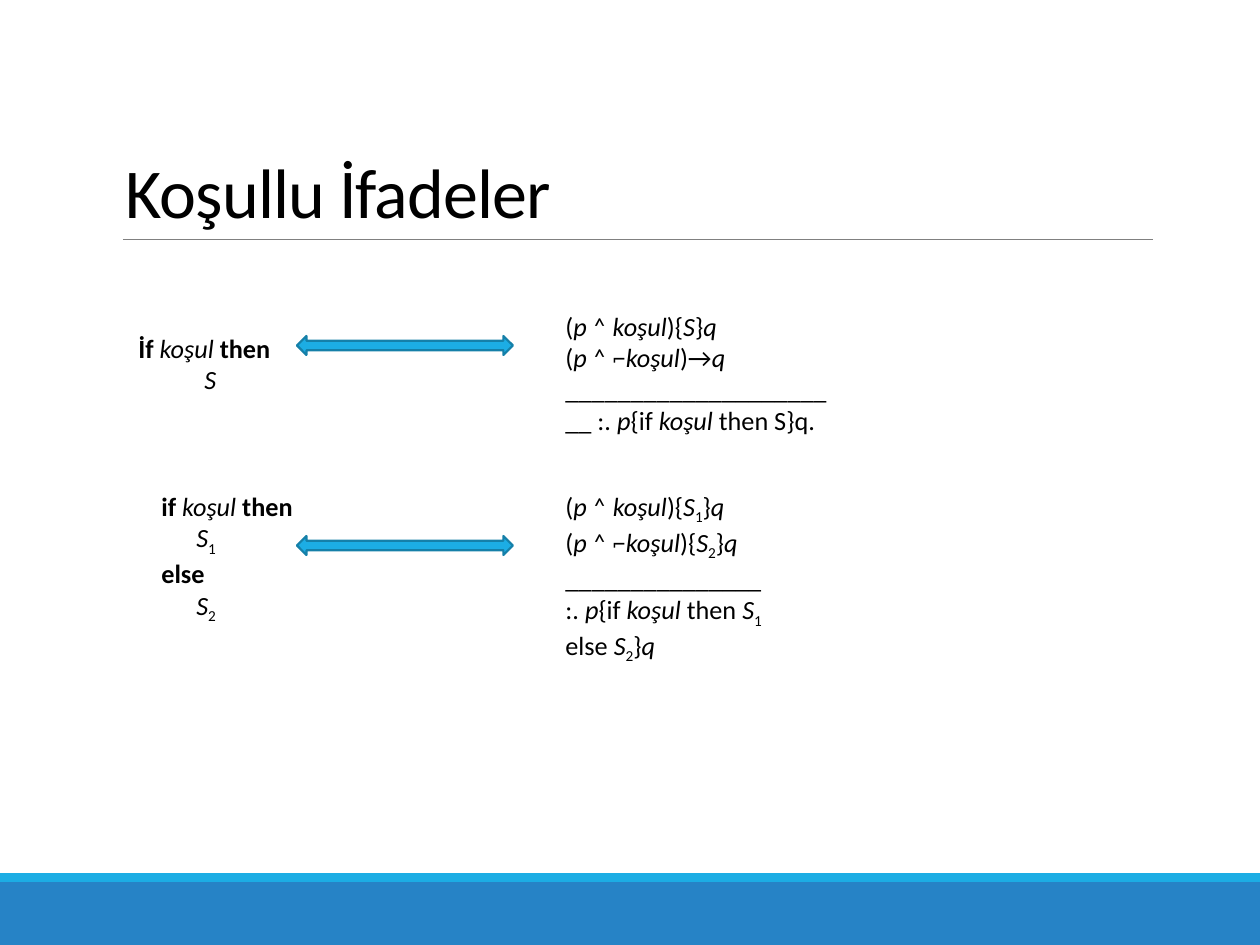
from pptx import Presentation
from pptx.dml.color import RGBColor
from pptx.enum.shapes import MSO_CONNECTOR, MSO_SHAPE
from pptx.enum.text import MSO_ANCHOR, MSO_AUTO_SIZE, PP_ALIGN
from pptx.oxml.ns import qn
from pptx.util import Pt
from lxml import etree

RECT, ARROW = MSO_SHAPE.RECTANGLE, MSO_SHAPE.LEFT_RIGHT_ARROW
STRAIGHT = MSO_CONNECTOR.STRAIGHT
LEFT, BOTTOM = PP_ALIGN.LEFT, MSO_ANCHOR.BOTTOM
NO_FIT = MSO_AUTO_SIZE.NONE

BLACK = RGBColor(0, 0, 0)
GREY = RGBColor(0x80, 0x80, 0x80)
BLUE = RGBColor(0x26, 0x83, 0xC6)
CYAN = RGBColor(0x1C, 0xAD, 0xE4)
TEAL = RGBColor(0x15, 0x80, 0xA9)
FONT = "Calibri"

# Content: each run is (text, style); style letters are b bold, i italic, s subscript
TITLE = "Koşullu İfadeler"
P_AND_COND = [("(", ""), ("p", "i"), (" ˄ ", ""), ("koşul", "i")]
P_AND_NOT_COND = [("(", ""), ("p", "i"), (" ˄ ⌐", ""), ("koşul", "i")]
P_IF_COND = [("p", "i"), ("{if ", ""), ("koşul ", "i")]
COND_THEN = [("koşul ", "i"), ("then", "b")]


def statement(number):
    return [("S", "i"), (number, "s")]


def triple_end(body):
    return [("){", "")] + body + [("}", ""), ("q", "i")]


# Text boxes: (left, top, width, height), then lines of (indent, runs)
BOXES = [
    ((126, 326, 159, 77), [
        (0, [("İf ", "b")] + COND_THEN),
        (66, [("S", "i")]),
    ]),
    ((553, 304, 290, 140), [
        (0, P_AND_COND + triple_end([("S", "i")])),
        (0, P_AND_NOT_COND + [(")→", ""), ("q", "i")]),
        (0, [("_" * 22 + " :. ", "")] + P_IF_COND + [("then S}q.", "")]),
    ]),
    ((149, 484, 164, 140), [
        (0, [("if ", "b")] + COND_THEN),
        (35, statement("1")),
        (0, [("else", "b")]),
        (35, statement("2")),
    ]),
    ((553, 484, 232, 171), [
        (0, P_AND_COND + triple_end(statement("1"))),
        (0, P_AND_NOT_COND + triple_end(statement("2"))),
        (0, [("_" * 15, "")]),
        (0, [(":. ", "")] + P_IF_COND + [("then ", "")] + statement("1 ")
         + [("else ", "")] + statement("2") + [("}", ""), ("q", "i")]),
    ]),
]
BARS = [((0, 882, 1260, 63), BLUE), ((0, 873, 1260, 9), CYAN)]
ARROW_TOPS = [336, 536]


def px(n):
    return round(n * 914400 / 126)


def add_shape(kind, box, fill, line=None):
    sp = s.shapes.add_shape(kind, *map(px, box))
    sp.shadow.inherit = False
    sp.fill.solid()
    sp.fill.fore_color.rgb = fill
    if line is None:
        sp.line.fill.background()
    else:
        sp.line.color.rgb = line
        sp.line.width = Pt(1.25)


def add_run(p, text, size, style=""):
    r = p.add_run()
    r.text = text
    r.font.name = FONT
    r.font.size = Pt(size)
    r.font.color.rgb = BLACK
    r.font.bold = "b" in style
    r.font.italic = "i" in style
    if "s" in style:
        r.font._element.set("baseline", "-25000")
    return r


prs = Presentation()
prs.slide_width, prs.slide_height = px(1260), px(945)
s = prs.slides.add_slide(prs.slide_layouts[5])

# Footer bars and title rule
for box, fill in BARS:
    add_shape(RECT, box, fill)
rule = s.shapes.add_connector(STRAIGHT, px(123), px(239), px(1153), px(239))
rule.line.color.rgb = GREY
rule.line.width = Pt(0.5)
etree.SubElement(rule._element.spPr, qn("a:effectLst"))

# Title
title = s.shapes.title
title.left, title.top, title.width, title.height = map(px, (113, 39, 1040, 200))
tf = title.text_frame
tf.auto_size = NO_FIT
tf.vertical_anchor = BOTTOM
p = tf.paragraphs[0]
p.alignment = LEFT
p.line_spacing = 0.85
add_run(p, TITLE, 40).font._element.set("spc", "-50")

# Program fragments and their inference rules
for box, lines in BOXES:
    tf = s.shapes.add_textbox(*map(px, box)).text_frame
    tf.word_wrap = True
    for i, (indent, runs) in enumerate(lines):
        p = tf.add_paragraph() if i else tf.paragraphs[0]
        if indent:
            p._p.get_or_add_pPr().set("marL", str(px(indent)))
        for text, style in runs:
            add_run(p, text, 15, style)

# Arrows between fragment and rule
for top in ARROW_TOPS:
    add_shape(ARROW, (297, top, 216, 19), CYAN, TEAL)

prs.save("out.pptx")
